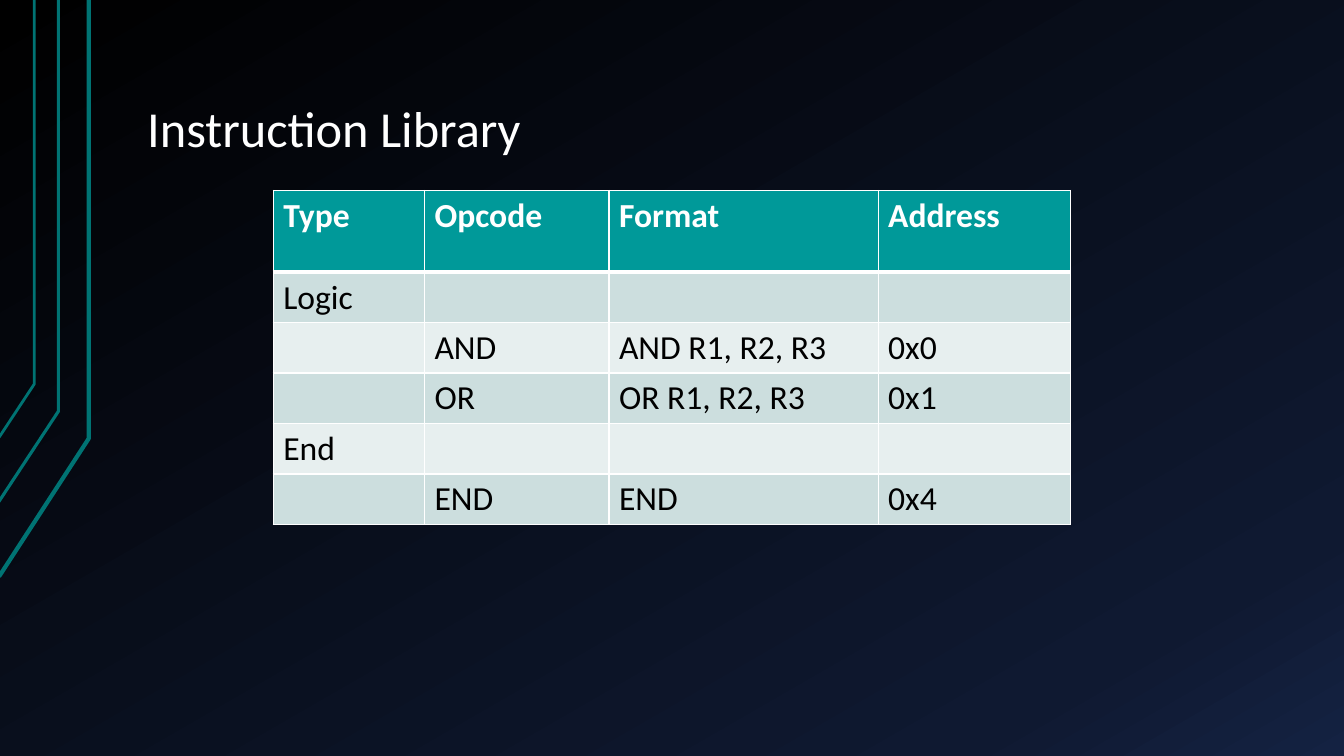
import copy

import lxml.etree
import pptx
import pptx.dml.color
import pptx.enum.text
import pptx.oxml.ns
import pptx.util

Inches = pptx.util.Inches
Pt = pptx.util.Pt
qn = pptx.oxml.ns.qn


def color(hex_value):
    return pptx.dml.color.RGBColor.from_string(hex_value)


def add_run(para, text, size, hex_value, bold=False):
    span = para.add_run()
    span.text = text
    span.font.name = "Calibri"
    span.font.size = Pt(size)
    span.font.bold = bold
    span.font.color.rgb = color(hex_value)


deck = pptx.Presentation()
deck.slide_width = Inches(13.33)
deck.slide_height = Inches(7.5)
page = deck.slides.add_slide(deck.slide_layouts[6])

# Background gradient with three stops
background = page.background.fill
background.gradient()
background.gradient_angle = 300
stop_list = page.element.find(".//" + qn("a:gsLst"))
stop_list.append(copy.deepcopy(stop_list[-1]))
stops = [(0, "000000"), (0.85, "0F1931"), (1, "142242")]
for stop, (position, hex_value) in zip(background.gradient_stops, stops):
    stop.position = position
    stop.color.rgb = color(hex_value)

# Bent lines at the left edge: start, bend, line width
bent_lines = [
    ((-0.01, 5.72), (0.88, 4.35), 3),
    ((-0.02, 4.99), (0.58, 4.08), 2.25),
    ((-0.01, 4.34), (0.34, 3.81), 2),
]
for (start_x, start_y), (bend_x, bend_y), width in bent_lines:
    builder = page.shapes.build_freeform(Inches(start_x), Inches(start_y))
    builder.add_line_segments(
        [(Inches(bend_x), Inches(bend_y)), (Inches(bend_x), 0)], close=False)
    bent_line = builder.convert_to_shape()
    bent_line.shadow.inherit = False
    bent_line.fill.background()
    bent_line.line.color.rgb = color("007373")
    bent_line.line.width = Pt(width)

# Title
title_box = page.shapes.add_textbox(
    Inches(1.33), Inches(0.3), Inches(11.33), Inches(1.34))
title = title_box.text_frame
title.word_wrap = True
title.vertical_anchor = pptx.enum.text.MSO_ANCHOR.BOTTOM
title.margin_left = title.margin_right = Inches(0.13)
title.margin_top = title.margin_bottom = Inches(0.07)
title.paragraphs[0].line_spacing = 0.9
add_run(title.paragraphs[0], "Instruction Library", 36, "FFFFFF")

# Instruction table
instructions = [
    ["Type", "Opcode", "Format", "Address"],
    ["Logic", "", "", ""],
    ["", "AND", "AND R1, R2, R3", "0x0"],
    ["", "OR", "OR R1, R2, R3", "0x1"],
    ["End", "", "", ""],
    ["", "END", "END", "0x4"],
]
column_widths = [1.5, 1.83, 2.67, 1.91]
row_heights = [0.81] + [0.49] * 5
table = page.shapes.add_table(
    len(row_heights), len(column_widths), Inches(2.71), Inches(1.89),
    Inches(sum(column_widths)), Inches(sum(row_heights))).table
for column, width in zip(table.columns, column_widths):
    column.width = Inches(width)
for row, height in zip(table.rows, row_heights):
    row.height = Inches(height)

for row_index, texts in enumerate(instructions):
    header = row_index == 0
    band = "009999" if header else ("E7EFEF", "CCDEDE")[row_index % 2]
    for column_index, text in enumerate(texts):
        cell = table.cell(row_index, column_index)

        # White borders, thicker below the header
        borders = {"a:lnL": 1, "a:lnR": 1,
                   "a:lnT": 3 if row_index == 1 else 1,
                   "a:lnB": 3 if header else 1}
        properties = cell._tc.get_or_add_tcPr()
        for tag, width in borders.items():
            border = lxml.etree.SubElement(properties, qn(tag), w=str(Pt(width)))
            border_fill = lxml.etree.SubElement(border, qn("a:solidFill"))
            lxml.etree.SubElement(border_fill, qn("a:srgbClr"), val="FFFFFF")

        cell.fill.solid()
        cell.fill.fore_color.rgb = color(band)
        if text:
            add_run(cell.text_frame.paragraphs[0], text, 24,
                    "FFFFFF" if header else "000000", header)

deck.save("out.pptx")
